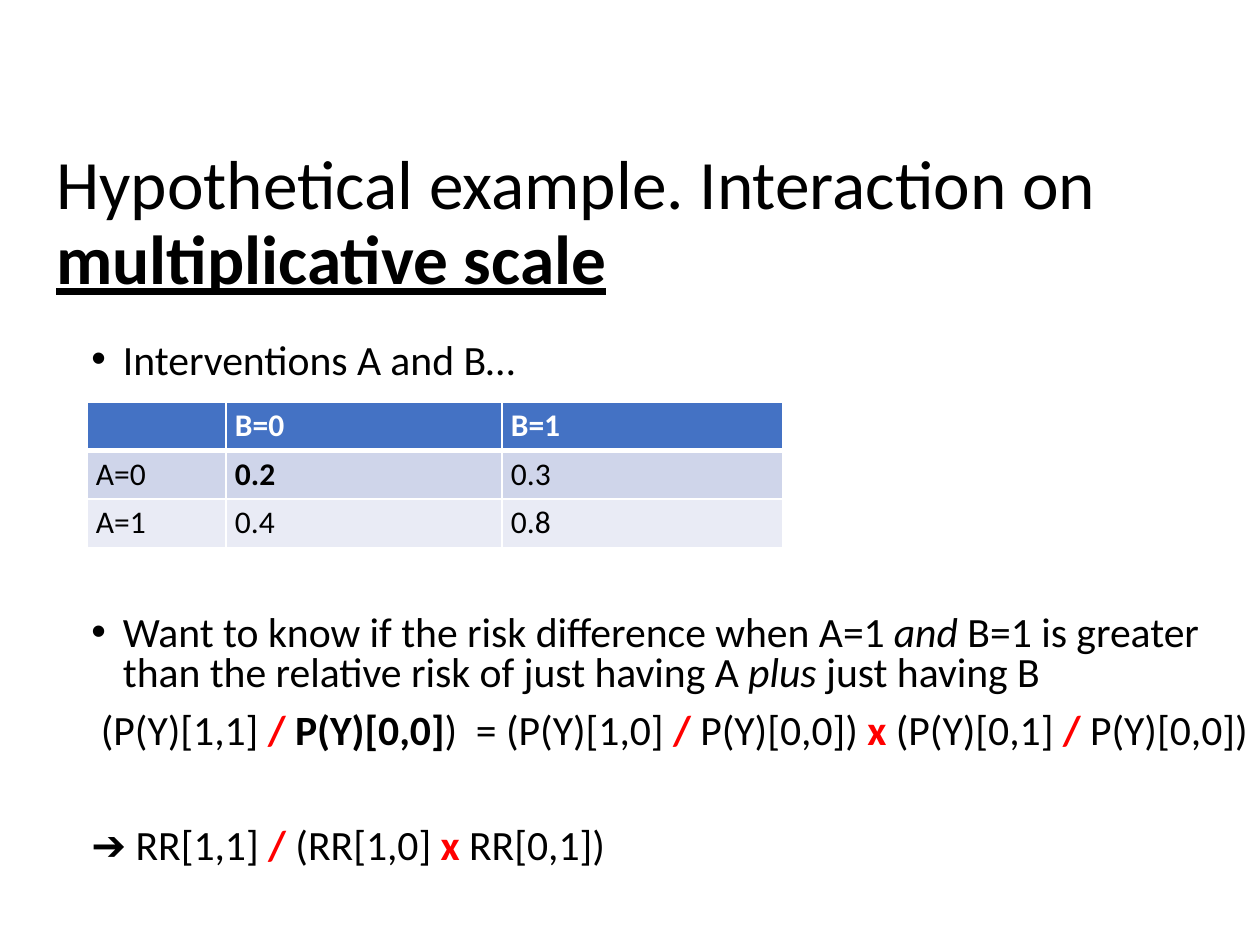
import lxml.etree
import pptx
import pptx.dml.color
import pptx.enum.text
import pptx.oxml.ns
import pptx.util

PIXEL = pptx.util.Inches(1) / 126
COLORS = {
    "text": "000000",
    "accent": "FF0000",
    "white": "FFFFFF",
    "header": "4472C4",
    "band_dark": "CFD5EA",
    "band_light": "E9EBF5",
}
STYLES = {
    "plain": {},
    "bold": {"bold": True},
    "italic": {"italic": True},
    "strong": {"bold": True, "underline": True},
    "operator": {"bold": True, "color": "accent"},
    "header": {"bold": True, "color": "white"},
}
TITLE = [
    ("Hypothetical example. Interaction on ", "plain"),
    ("multiplicative scale", "strong"),
]
BODY = [
    {"bullet": True, "before": 0, "runs": [("Interventions A and B…", "plain")]},
    {"bullet": True, "before": 133, "runs": [
        ("Want to know if the risk difference when A=1 ", "plain"),
        ("and", "italic"),
        (" B=1 is greater than the relative risk of just having A ", "plain"),
        ("plus", "italic"),
        (" just having B", "plain"),
    ]},
    {"bullet": False, "before": 10, "runs": [
        (" (P(Y)[1,1] ", "plain"),
        ("/ ", "operator"),
        ("P(Y)[0,0]", "bold"),
        (")  = (P(Y)[1,0] ", "plain"),
        ("/ ", "operator"),
        ("P(Y)[0,0]) ", "plain"),
        ("x", "operator"),
        (" (P(Y)[0,1] ", "plain"),
        ("/", "operator"),
        (" P(Y)[0,0])", "plain"),
    ]},
    {"bullet": False, "before": 43, "runs": [
        ("➔ RR[1,1] ", "plain"),
        ("/", "operator"),
        (" (RR[1,0] ", "plain"),
        ("x", "operator"),
        (" RR[0,1])", "plain"),
    ]},
]
RISKS = [
    ("header", [("", "header"), ("B=0", "header"), ("B=1", "header")]),
    ("band_dark", [("A=0", "plain"), ("0.2", "bold"), ("0.3", "plain")]),
    ("band_light", [("A=1", "plain"), ("0.4", "plain"), ("0.8", "plain")]),
]


def px(length):
    """Turn pixels into EMU."""
    return pptx.util.Emu(round(length * PIXEL))


def set_attributes(target, values):
    """Set every attribute named in a dict of format values."""
    for name, value in values.items():
        setattr(target, name, value)


def add_runs(paragraph, runs, size):
    """Write styled runs into a paragraph."""
    for text, style in runs:
        run = paragraph.add_run()
        run.text = text
        values = {"name": "Calibri", "size": pptx.util.Pt(size), "bold": False}
        values.update(STYLES[style])
        color = COLORS[values.pop("color", "text")]
        set_attributes(run.font, values)
        run.font.color.rgb = pptx.dml.color.RGBColor.from_string(color)


def add_text_frame(slide, box, anchor):
    """Add a wrapping text box and return its text frame."""
    text_frame = slide.shapes.add_textbox(*map(px, box)).text_frame
    set_attributes(text_frame, {
        "word_wrap": True,
        "auto_size": pptx.enum.text.MSO_AUTO_SIZE.NONE,
        "vertical_anchor": anchor,
    })
    return text_frame


def add_bullet(paragraph, indent):
    """Give a paragraph a round bullet with a hanging indent."""
    properties = paragraph._p.get_or_add_pPr()
    properties.set("marL", str(indent))
    properties.set("indent", str(-indent))
    for tag, name, value in (("a:buFont", "typeface", "Arial"), ("a:buChar", "char", "•")):
        lxml.etree.SubElement(properties, pptx.oxml.ns.qn(tag)).set(name, value)


def add_title(slide, box):
    """Place the two-line title."""
    text_frame = add_text_frame(slide, box, pptx.enum.text.MSO_ANCHOR.MIDDLE)
    paragraph = text_frame.paragraphs[0]
    paragraph.line_spacing = 0.9
    add_runs(paragraph, TITLE, 39.6)


def add_body(slide, box):
    """Place the bullets and formulas."""
    text_frame = add_text_frame(slide, box, pptx.enum.text.MSO_ANCHOR.TOP)
    for index, entry in enumerate(BODY):
        paragraph = text_frame.add_paragraph() if index else text_frame.paragraphs[0]
        set_attributes(paragraph, {
            "line_spacing": 0.8,
            "space_before": pptx.util.Pt(entry["before"]),
        })
        if entry["bullet"]:
            add_bullet(paragraph, pptx.util.Inches(0.25))
        add_runs(paragraph, entry["runs"], 23.8)


def add_borders(cell, widths):
    """Draw white cell borders from a dict of side and point width."""
    properties = cell._tc.get_or_add_tcPr()
    for side, width in widths.items():
        line = lxml.etree.SubElement(properties, pptx.oxml.ns.qn(f"a:ln{side}"))
        line.set("w", str(pptx.util.Pt(width)))
        fill = lxml.etree.SubElement(line, pptx.oxml.ns.qn("a:solidFill"))
        color = lxml.etree.SubElement(fill, pptx.oxml.ns.qn("a:srgbClr"))
        color.set("val", COLORS["white"])


def add_risk_table(slide, box, column_widths):
    """Place the table of risks by intervention."""
    shape = slide.shapes.add_table(len(RISKS), len(column_widths), *map(px, box))
    table = shape.table
    set_attributes(table, {"first_row": False, "horz_banding": False})
    for column, width in zip(table.columns, column_widths):
        column.width = px(width)
    margins = {"margin_left": px(9), "margin_right": px(9),
               "margin_top": px(5), "margin_bottom": px(5)}
    for row_index, (fill, values) in enumerate(RISKS):
        table.rows[row_index].height = px(box[3] // len(RISKS))
        for column_index, value in enumerate(values):
            cell = table.cell(row_index, column_index)
            set_attributes(cell, margins)
            add_borders(cell, {"L": 1, "R": 1, "T": 3 if row_index == 1 else 1,
                               "B": 3 if row_index == 0 else 1})
            cell.fill.solid()
            cell.fill.fore_color.rgb = pptx.dml.color.RGBColor.from_string(COLORS[fill])
            if value[0]:
                add_runs(cell.text_frame.paragraphs[0], [value], 18)


def main():
    """Build the slide and save it."""
    presentation = pptx.Presentation()
    set_attributes(presentation, {"slide_width": px(1260), "slide_height": px(945)})
    slide = presentation.slides.add_slide(presentation.slide_layouts[6])
    add_title(slide, (44, 156, 1247, 137))
    add_body(slide, (79, 337, 1196, 546))
    add_risk_table(slide, (87, 402, 696, 144), (139, 276, 281))
    presentation.save("out.pptx")


if __name__ == "__main__":
    main()
